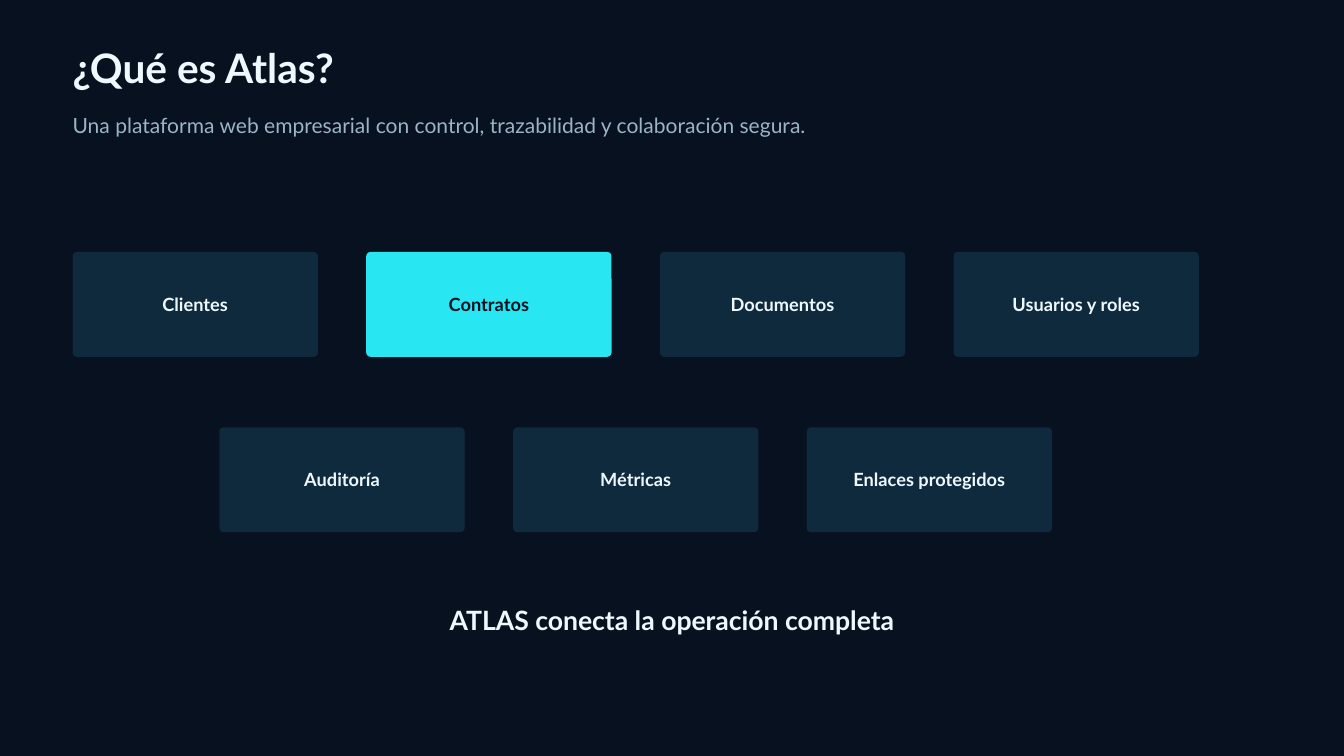
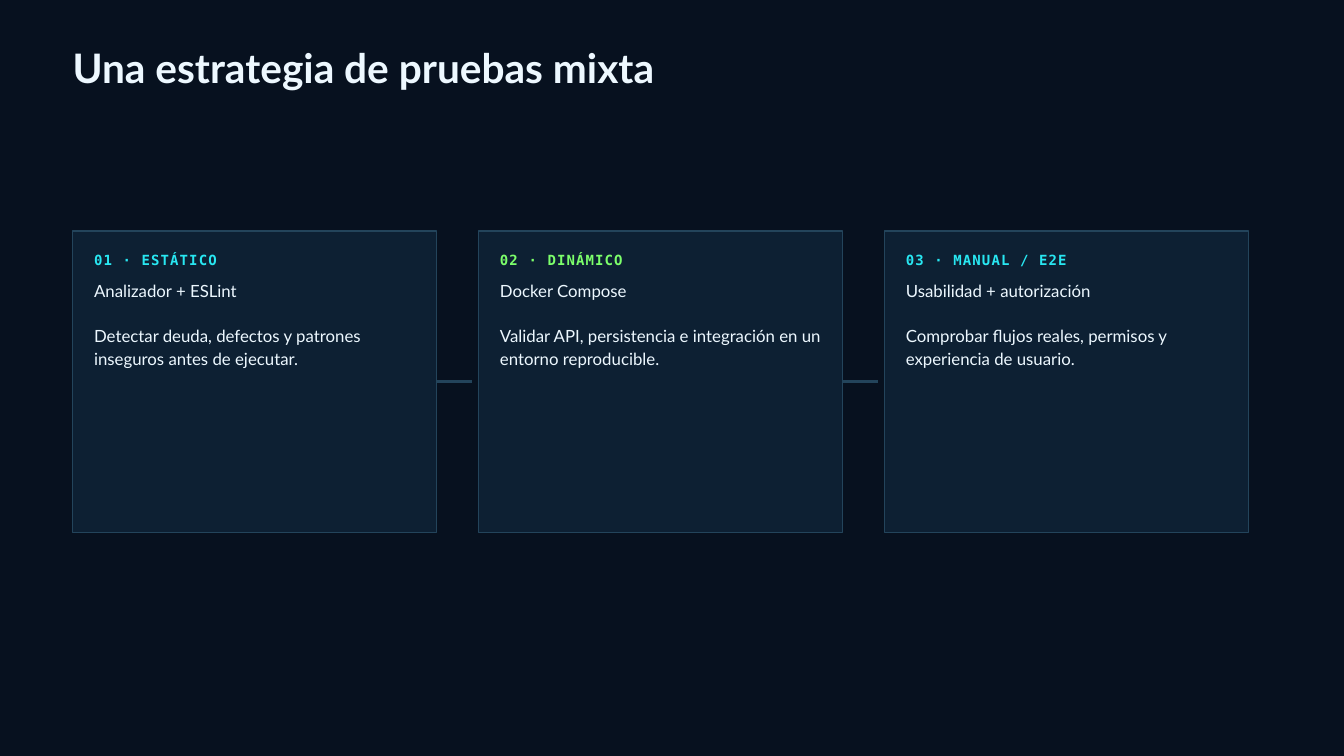
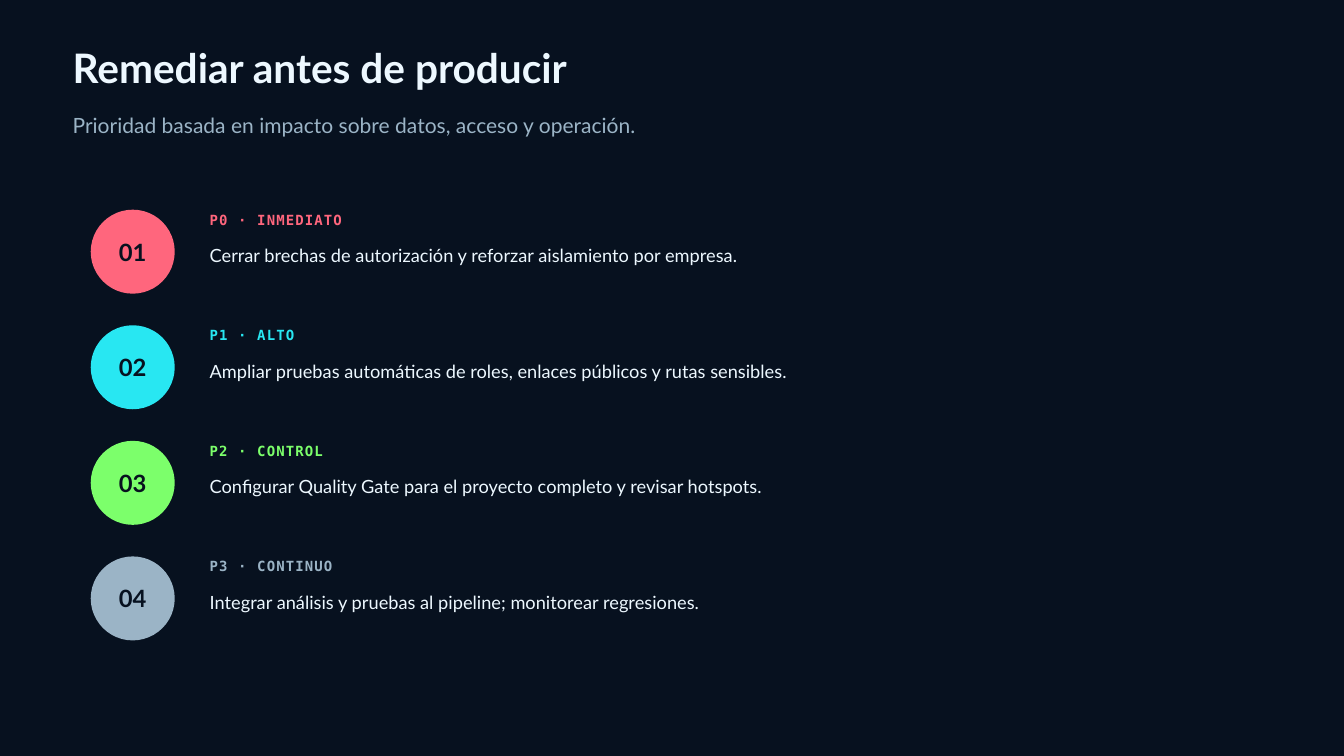
import pptx
import pptx.dml.color
import pptx.enum.shapes
import pptx.enum.text
import pptx.oxml.ns
import pptx.util
from lxml import etree

W, H = 20, 11.25
MARGIN = 1.08
SANS, MONO = "Lato", "DejaVu Sans Mono"
COLORS = {
    "bg": "07111F", "text": "EDF8FF", "muted": "9BB4C6", "tile": "102A3D",
    "card": "0D2033", "border": "23445B", "cyan": "28E7F2",
    "green": "7CFF6B", "red": "FF667D",
}
STYLES = {
    "title": dict(size=43.5, leading=47, bold=True),
    "subtitle": dict(size=22.5, leading=30.4, color="muted"),
    "closing": dict(size=28.5, leading=30.8, bold=True, align="CENTER"),
    "tile": dict(size=19.5, leading=27.3, bold=True, align="CENTER"),
    "number": dict(size=25.5, leading=35.7, bold=True, align="CENTER", color="bg"),
    "label": dict(size=15, leading=21, bold=True, font=MONO, spacing=1.2),
    "card": dict(size=18, leading=24.3),
    "action": dict(size=19.5, leading=26.3),
}

MODULES_TITLE = "¿Qué es Atlas?"
MODULES_SUBTITLE = "Una plataforma web empresarial con control, trazabilidad y colaboración segura."
MODULES = [
    ["Clientes", "Contratos", "Documentos", "Usuarios y roles"],
    ["Auditoría", "Métricas", "Enlaces protegidos"],
]
KEY_MODULE = "Contratos"
CLOSING = "ATLAS conecta la operación completa"

TESTS_TITLE = "Una estrategia de pruebas mixta"
TESTS = [
    ("01 · ESTÁTICO", "cyan", "Analizador + ESLint",
     "Detectar deuda, defectos y patrones inseguros antes de ejecutar."),
    ("02 · DINÁMICO", "green", "Docker Compose",
     "Validar API, persistencia e integración en un entorno reproducible."),
    ("03 · MANUAL / E2E", "cyan", "Usabilidad + autorización",
     "Comprobar flujos reales, permisos y experiencia de usuario."),
]

FIXES_TITLE = "Remediar antes de producir"
FIXES_SUBTITLE = "Prioridad basada en impacto sobre datos, acceso y operación."
FIXES = [
    ("P0 · INMEDIATO", "red",
     "Cerrar brechas de autorización y reforzar aislamiento por empresa."),
    ("P1 · ALTO", "cyan",
     "Ampliar pruebas automáticas de roles, enlaces públicos y rutas sensibles."),
    ("P2 · CONTROL", "green",
     "Configurar Quality Gate para el proyecto completo y revisar hotspots."),
    ("P3 · CONTINUO", "muted",
     "Integrar análisis y pruebas al pipeline; monitorear regresiones."),
]


def rgb(name):
    return pptx.dml.color.RGBColor.from_string(COLORS[name])


def inches(*lengths):
    return [pptx.util.Inches(n) for n in lengths]


def write(tf, paragraphs, style, insets=(0, 0, 0, 0), color=None, gap=0):
    look = STYLES[style]
    tf.word_wrap = True
    tf.margin_left, tf.margin_top, tf.margin_right, tf.margin_bottom = inches(*insets)
    for i, text in enumerate(paragraphs):
        p = tf.add_paragraph() if i else tf.paragraphs[0]
        p.alignment = getattr(pptx.enum.text.PP_ALIGN, look.get("align", "LEFT"))
        p.line_spacing = pptx.util.Pt(look["leading"])
        if i:
            p.space_before = pptx.util.Pt(gap)
        r = p.add_run()
        r.text = text
        r.font.name = look.get("font", SANS)
        r.font.size = pptx.util.Pt(look["size"])
        r.font.bold = look.get("bold", False)
        r.font.color.rgb = rgb(color or look.get("color", "text"))
        if "spacing" in look:
            r._r.get_or_add_rPr().set("spc", str(round(look["spacing"] * 100)))


def add_text(s, box, paragraphs, style, **options):
    write(s.shapes.add_textbox(*inches(*box)).text_frame, paragraphs, style, **options)


def add_shape(s, kind, box, fill, border=None):
    sp = s.shapes.add_shape(getattr(pptx.enum.shapes.MSO_SHAPE, kind), *inches(*box))
    sp.shadow.inherit = False
    sp.fill.solid()
    sp.fill.fore_color.rgb = rgb(fill)
    if border:
        sp.line.color.rgb = rgb(border)
        sp.line.width = pptx.util.Pt(1.5)
    else:
        sp.line.fill.background()
    return sp


def write_centred(sp, text, style, color=None):
    sp.text_frame.vertical_anchor = pptx.enum.text.MSO_ANCHOR.MIDDLE
    write(sp.text_frame, [text], style, insets=(0.06, 0.06, 0.06, 0.13), color=color)


def add_link(s, card, x, y, length):
    line = s.shapes.add_connector(
        pptx.enum.shapes.MSO_CONNECTOR.STRAIGHT, *inches(x, y, x + length, y))
    line.begin_connect(card, 3)
    line.line.color.rgb = rgb("border")
    line.line.width = pptx.util.Pt(3)
    etree.SubElement(line._element.spPr, pptx.oxml.ns.qn("a:effectLst"))


def new_slide(prs, title, subtitle=None):
    s = prs.slides.add_slide(prs.slide_layouts[6])
    s.background.fill.solid()
    s.background.fill.fore_color.rgb = rgb("bg")
    add_text(s, (MARGIN, 0.71, 15.62, 0.76), [title], "title")
    if subtitle:
        add_text(s, (MARGIN, 1.63, 15.62, 0.4), [subtitle], "subtitle")
    return s


def modules_slide(prs):
    s = new_slide(prs, MODULES_TITLE, MODULES_SUBTITLE)
    width, height = 3.65, 1.56
    col_step, row_step = 4.37, 2.61
    most = max(len(row) for row in MODULES)
    for i, row in enumerate(MODULES):
        left = MARGIN + (most - len(row)) * col_step / 2
        for j, name in enumerate(row):
            key = name == KEY_MODULE
            box = (left + j * col_step, H / 3 + i * row_step, width, height)
            sp = add_shape(s, "ROUNDED_RECTANGLE", box, "cyan" if key else "tile")
            sp.adjustments[0] = 0.04
            write_centred(sp, name, "tile", "bg" if key else "text")
    add_text(s, ((W - 9.17) / 2, 9.04, 9.17, 0.5), [CLOSING], "closing")


def tests_slide(prs):
    s = new_slide(prs, TESTS_TITLE)
    top, width, height, step, pad = 3.44, 5.42, 4.48, 6.04, 0.32
    inner = width - 2 * pad
    for i, (label, color, tool, goal) in enumerate(TESTS):
        x = MARGIN + i * step
        card = add_shape(s, "RECTANGLE", (x, top, width, height), "card", "border")
        add_text(s, (x + pad, top + 0.26, inner, 0.27), [label], "label", color=color)
        add_text(s, (x + pad, top + 0.7, inner, 1.32), [tool, goal], "card",
                 gap=STYLES["card"]["leading"])
        if i < len(TESTS) - 1:
            add_link(s, card, x + width, top + height / 2, 0.52)


def fixes_slide(prs):
    s = new_slide(prs, FIXES_TITLE, FIXES_SUBTITLE)
    top, step, disc, text_left = 3.12, 1.72, 1.25, 3.12
    for i, (label, color, action) in enumerate(FIXES):
        y = top + i * step
        sp = add_shape(s, "OVAL", (1.35, y, disc, disc), color)
        write_centred(sp, f"{i + 1:02}", "number")
        add_text(s, (text_left, y - 0.02, 5.42, 0.27), [label], "label", color=color)
        add_text(s, (text_left, y + 0.48, 14.06, 0.35), [action], "action")


def main():
    prs = pptx.Presentation()
    prs.slide_width, prs.slide_height = inches(W, H)
    modules_slide(prs)
    tests_slide(prs)
    fixes_slide(prs)
    prs.save("out.pptx")


if __name__ == "__main__":
    main()
